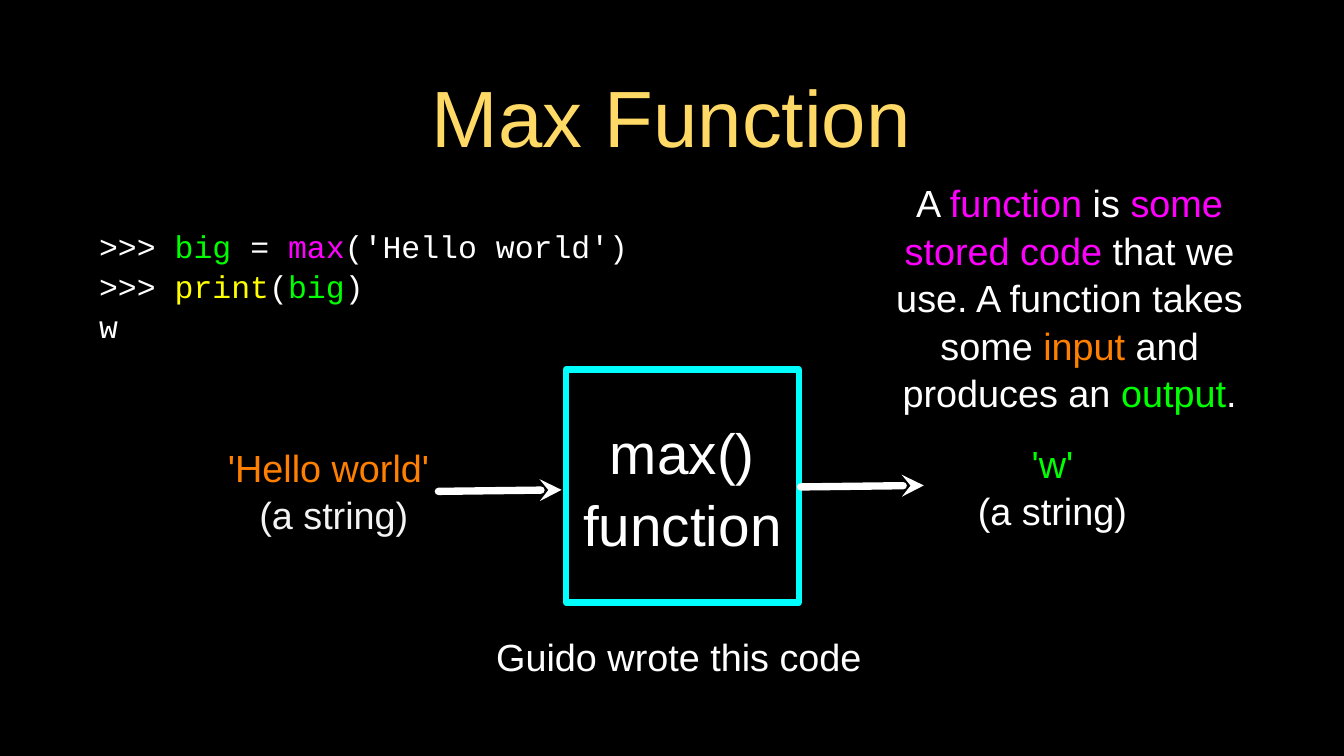
from lxml.etree import SubElement
from pptx import Presentation
from pptx.dml.color import RGBColor
from pptx.enum.shapes import MSO_CONNECTOR as Connector, MSO_SHAPE as Shape
from pptx.enum.text import MSO_ANCHOR as Anchor, PP_ALIGN as Align
from pptx.oxml.ns import qn
from pptx.util import Cm, Pt

COLORS = {
    "black": "000000", "white": "FFFFFF", "pale": "F3F3F3", "gold": "FFD966",
    "green": "00FF00", "magenta": "FF00FF", "yellow": "FFFF00",
    "orange": "FF7F00", "cyan": "00FFFF",
}


def color(name):
    return RGBColor.from_string(COLORS[name])


def write(shape, lines, size, font="Arial", align=Align.CENTER, inset=0, spacing=1.05):
    frame = shape.text_frame
    frame.word_wrap = True
    frame.vertical_anchor = Anchor.MIDDLE
    frame.margin_left = frame.margin_right = Cm(inset)
    frame.margin_top = frame.margin_bottom = Cm(inset)
    frame.text = "\n".join("" for _ in lines)
    for paragraph, pieces in zip(frame.paragraphs, lines):
        paragraph.alignment = align
        paragraph.line_spacing = spacing
        for text, name in pieces:
            run = paragraph.add_run()
            run.text = text
            run.font.size = Pt(size)
            run.font.name = font
            run.font.color.rgb = color(name)


def add_text(slide, box, lines, size=36, **style):
    shape = slide.shapes.add_textbox(*map(Cm, box))
    write(shape, lines, size, **style)


def add_title(slide, box):
    title = slide.shapes.title
    title.left, title.top, title.width, title.height = map(Cm, box)
    write(title, [[("Max Function", "gold")]], 76, inset=0.1, spacing=1)


def add_code(slide, box):
    lines = [
        [(">>> ", "white"), ("big", "green"), (" = ", "white"),
         ("max", "magenta"), ("('Hello world')", "white")],
        [(">>> ", "white"), ("print", "yellow"), ("(", "white"),
         ("big", "green"), (")", "white")],
        [("w", "white")],
    ]
    add_text(slide, box, lines, 30, font="Courier New", align=Align.LEFT, spacing=1.06)


def add_definition(slide, box):
    add_text(slide, box, [[
        ("A ", "white"), ("function", "magenta"), (" is ", "white"),
        ("some stored code", "magenta"),
        (" that we use. A function takes some ", "white"),
        ("input", "orange"), (" and produces an ", "white"),
        ("output", "green"), (".", "white"),
    ]])


def add_arrow(slide, left, top):
    arrow = slide.shapes.add_connector(
        Connector.STRAIGHT, Cm(left), Cm(top), Cm(left + 4.14), Cm(top - 0.05))
    arrow.line.color.rgb = color("white")
    arrow.line.width = Pt(7)
    line = arrow.line._get_or_add_ln()
    line.set("cap", "rnd")
    SubElement(line, qn("a:tailEnd"), type="stealth")
    SubElement(arrow._element.spPr, qn("a:effectLst"))


def add_machine(slide, box):
    left, top, width, height = box
    square = slide.shapes.add_shape(Shape.RECTANGLE, *map(Cm, box))
    square.shadow.inherit = False
    square.fill.background()
    square.line.color.rgb = color("cyan")
    square.line.width = Pt(6)
    write(square, [[("max()", "white")], [("function", "white")]], 54)

    add_arrow(slide, left - 4.29, top + 4.09)
    add_text(slide, (left - 11.76, top + 2.44, 7.92, 3.18),
             [[("'Hello world' ", "orange")], [("(a string)", "pale")]])
    add_arrow(slide, left + width + 0.06, top + 3.94)
    add_text(slide, (left + width + 5.49, top + 2.31, 6.07, 3.18),
             [[("'w'", "green")], [("(a string)", "white")]])
    add_text(slide, (left - 2.48, top + height + 0.92, 12.55, 1.73),
             [[("Guido wrote this code", "white")]])


presentation = Presentation()
presentation.slide_width = Cm(45.16)
presentation.slide_height = Cm(25.4)
slide = presentation.slides.add_slide(presentation.slide_layouts[5])
slide.background.fill.solid()
slide.background.fill.fore_color.rgb = color("black")
add_title(slide, (3.2, 1.47, 38.71, 4.83))
add_code(slide, (3.33, 7.26, 19.81, 4.62))
add_machine(slide, (19.02, 12.42, 7.82, 7.82))
add_definition(slide, (29.08, 6.3, 13.72, 7.32))
presentation.save("out.pptx")
